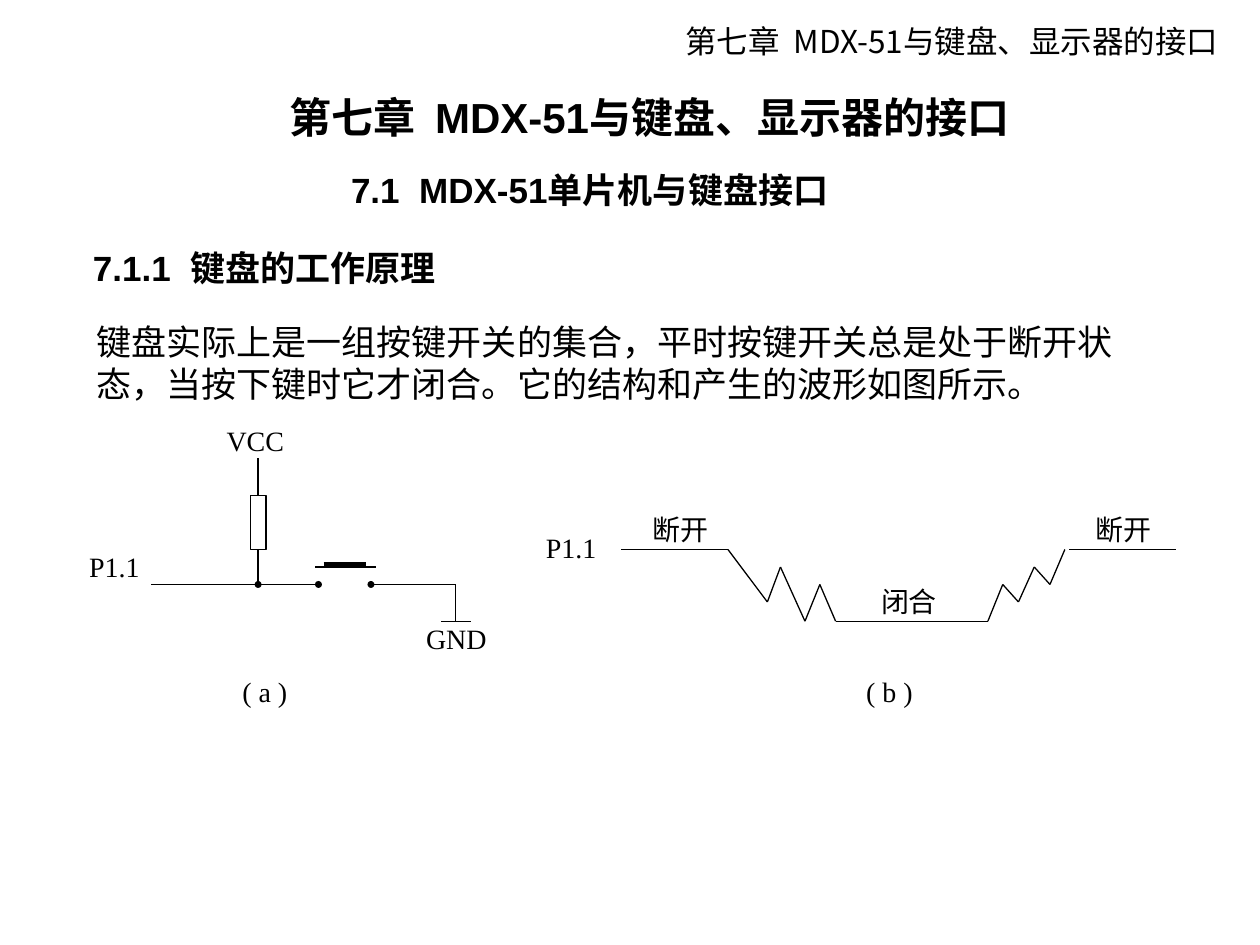
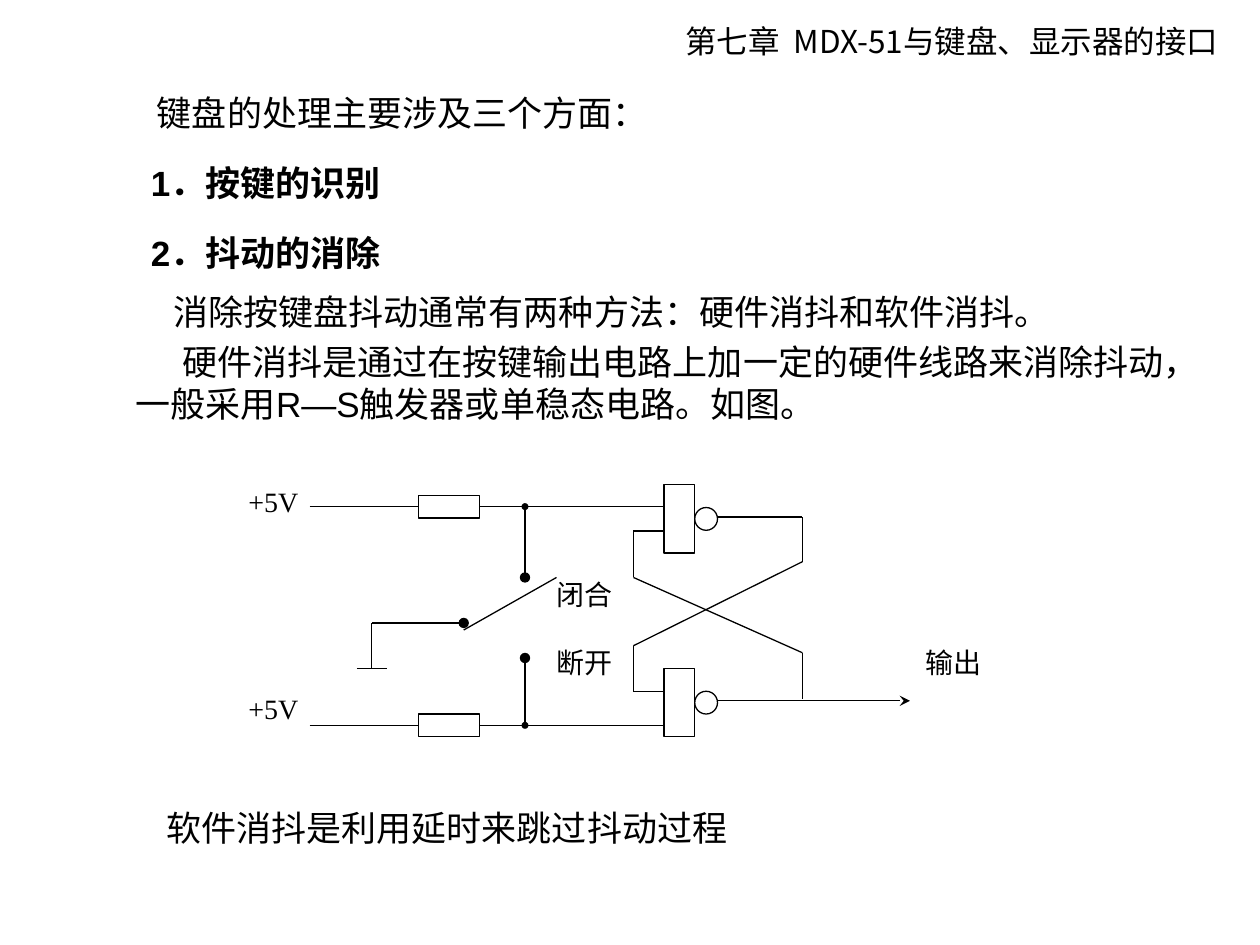
import itertools

import lxml.etree
import pptx
import pptx.dml.color
import pptx.enum.shapes
import pptx.enum.text
import pptx.oxml.ns
import pptx.util

Pt = pptx.util.Pt
qn = pptx.oxml.ns.qn
ALIGN = pptx.enum.text.PP_ALIGN
SHAPE = pptx.enum.shapes.MSO_SHAPE

BLACK = pptx.dml.color.RGBColor(0, 0, 0)
WHITE = pptx.dml.color.RGBColor(255, 255, 255)
TEXT_FONT = "Arial"
LABEL_FONT = "Times New Roman"
CHINESE_FONT = "Noto Sans CJK JP"
CHAPTER = "第七章  MDX-51与键盘、显示器的接口"

NODE = ("oval", "sm")
CONTACT = ("oval", "med")
ARROW = ("stealth", "med")


def place(shape, left, top, width, height):
    shape.left, shape.top = Pt(left), Pt(top)
    shape.width, shape.height = Pt(width), Pt(height)


def write(shape, lines, size=20, font=TEXT_FONT, bold=False, wrap=False,
          inset=(7.2, 3.6), align=ALIGN.LEFT, pitch=None, gap=0, indent=0):
    frame = shape.text_frame
    frame.auto_size = pptx.enum.text.MSO_AUTO_SIZE.NONE
    frame.word_wrap = wrap
    frame.vertical_anchor = pptx.enum.text.MSO_ANCHOR.MIDDLE
    frame.margin_left = frame.margin_right = Pt(inset[0])
    frame.margin_top = frame.margin_bottom = Pt(inset[1])
    for index, line in enumerate(lines):
        paragraph = frame.add_paragraph() if index else frame.paragraphs[0]
        properties = paragraph._p.get_or_add_pPr()
        properties.set("marL", "0")
        properties.set("indent", str(Pt(indent)))
        lxml.etree.SubElement(properties, qn("a:buNone"))
        paragraph.alignment = align
        paragraph.space_before = Pt(gap if index else 0)
        if pitch:
            paragraph.line_spacing = Pt(pitch)
        run = paragraph.add_run()
        run.text = line
        run.font.name = font
        run.font.size = Pt(size)
        run.font.bold = bold
        run.font.color.rgb = BLACK
        east_asian = lxml.etree.SubElement(run._r.get_or_add_rPr(), qn("a:ea"))
        east_asian.set("typeface", CHINESE_FONT)


def add_text(slide, text, left, top, width, height=31.7, **style):
    box = slide.shapes.add_textbox(Pt(left), Pt(top), Pt(width), Pt(height))
    write(box, [text], **style)
    return box


def add_label(slide, text, left, top):
    add_text(slide, text, left, top, 36, 19, size=16, font=LABEL_FONT,
             wrap=True, inset=(0, 0), align=ALIGN.JUSTIFY)


def add_wire(slide, begin, end, head=None, tail=None, width=0.75):
    wire = slide.shapes.add_connector(
        pptx.enum.shapes.MSO_CONNECTOR.STRAIGHT,
        *(Pt(value) for value in (*begin, *end)))
    wire.line.color.rgb = BLACK
    wire.line.width = Pt(width)
    line = wire.line._get_or_add_ln()
    for tag, marker in (("a:headEnd", head), ("a:tailEnd", tail)):
        if marker:
            kind, scale = marker
            lxml.etree.SubElement(line, qn(tag), type=kind, w=scale, len=scale)
    lxml.etree.SubElement(wire._element.spPr, qn("a:effectLst"))
    return wire


def add_path(slide, points):
    for begin, end in itertools.pairwise(points):
        add_wire(slide, begin, end)


def add_part(slide, kind, left, top, width, height):
    part = slide.shapes.add_shape(kind, Pt(left), Pt(top), Pt(width), Pt(height))
    part.shadow.inherit = False
    part.fill.solid()
    part.fill.fore_color.rgb = WHITE
    part.line.color.rgb = BLACK
    part.line.width = Pt(0.75)
    return part


def add_header(presentation, slide):
    header = add_text(slide, CHAPTER, 384.5, 9, 332, 28.8, size=18,
                      font=CHINESE_FONT)
    header.element.nvSpPr.cNvPr.set("id", "20")
    presentation.slide_master.shapes.element.append(header.element)


def draw_key_circuit(slide, left, top):
    def at(x, y):
        return left + x, top + y

    resistor = add_part(slide, SHAPE.RECTANGLE, *at(92, 41), 9, 31)
    add_wire(slide, at(96.5, 20), at(96.5, 41)).end_connect(resistor, 0)
    add_wire(slide, at(96.5, 72), at(96.5, 92), tail=NODE).begin_connect(resistor, 2)
    add_wire(slide, at(35.5, 92), at(131, 92), tail=NODE)
    add_wire(slide, at(161, 92), at(209.5, 92), head=NODE)
    add_wire(slide, at(129, 82), at(164, 82))
    add_wire(slide, at(134, 80.5), at(158, 80.5), width=2.25)
    add_wire(slide, at(209.5, 92), at(209.5, 113))
    add_wire(slide, at(201, 113), at(218, 113))
    for text, x, y in (("P1.1", 0, 72), ("VCC", 78.5, 0),
                       ("GND", 192.5, 113), ("( a )", 87.5, 143.5)):
        add_label(slide, text, *at(x, y))


def draw_bounce_waveform(slide, left, top):
    def at(x, y):
        return left + x, top + y

    wave = [(43, 21), (104, 21), (126.5, 51), (134, 31), (148, 62),
            (156.5, 41), (165.5, 62), (252.5, 62), (261, 41), (270, 51),
            (279, 31), (288, 41), (296.5, 21)]
    add_path(slide, [at(x, y) for x, y in wave])
    add_wire(slide, at(299, 21), at(360, 21))
    for text, x, y in (("断开", 61, 0), ("闭合", 191.5, 41), ("断开", 314, 0),
                       ("P1.1", 0, 10), ("( b )", 183, 92.5)):
        add_label(slide, text, *at(x, y))


def draw_latch_circuit(slide, left, top):
    def at(x, y):
        return left + x, top + y

    for rail in (12.5, 137.5):
        resistor = add_part(slide, SHAPE.RECTANGLE, *at(97, rail - 6.5), 35, 13)
        add_wire(slide, at(35, rail), at(97, rail)).end_connect(resistor, 1)
        add_wire(slide, at(132, rail), at(237.5, rail)).begin_connect(resistor, 3)
    for gate_top in (0, 105):
        add_part(slide, SHAPE.RECTANGLE, *at(237.5, gate_top), 17.5, 39)
        add_part(slide, SHAPE.FLOWCHART_CONNECTOR, *at(255, gate_top + 13), 13, 13)

    upper_feedback = [(268, 18.5), (316.5, 18.5), (316.5, 44), (220, 92),
                      (220, 118), (237.5, 118)]
    lower_feedback = [(237.5, 26.5), (220, 26.5), (220, 53), (316.5, 96),
                      (316.5, 122.5)]
    for feedback in (upper_feedback, lower_feedback):
        add_path(slide, [at(x, y) for x, y in feedback])
    add_wire(slide, at(268, 123.5), at(378, 123.5), tail=ARROW)

    add_wire(slide, at(158, 12.5), at(158, 53), head=NODE, tail=CONTACT)
    add_wire(slide, at(158, 99), at(158, 137.5), head=CONTACT, tail=NODE)
    add_wire(slide, at(123, 79), at(70.5, 79), head=CONTACT)
    add_wire(slide, at(70.5, 79), at(70.5, 105))
    add_wire(slide, at(62, 105), at(79, 105))
    add_wire(slide, at(123, 83), at(176, 53))
    for text, x, y in (("断开", 176, 92), ("闭合", 176, 53), ("+5V", 0, 0),
                       ("+5V", 0, 118), ("输出", 387, 92)):
        add_label(slide, text, *at(x, y))


def build_principle_slide(presentation):
    slide = presentation.slides.add_slide(presentation.slide_layouts[5])
    add_header(presentation, slide)
    title = slide.shapes.title
    place(title, 158.5, 48.5, 442, 36)
    write(title, [CHAPTER], size=24, bold=True)
    add_text(slide, "7.1  MDX-51单片机与键盘接口", 193.5, 92.5, 292, bold=True)
    add_text(slide, "7.1.1  键盘的工作原理", 46, 137, 215, bold=True)
    add_text(slide, "键盘实际上是一组按键开关的集合，平时按键开关总是处于断开状态，"
             "当按下键时它才闭合。它的结构和产生的波形如图所示。",
             48, 179.5, 610, 55.5, wrap=True, pitch=24)
    draw_key_circuit(slide, 51, 242)
    draw_bounce_waveform(slide, 312, 293)


def build_debounce_slide(presentation):
    slide = presentation.slides.add_slide(presentation.slide_layouts[1])
    title, aspects = slide.placeholders
    place(title, 82.5, 48.5, 299.5, 31.7)
    write(title, ["键盘的处理主要涉及三个方面："])
    place(aspects, 79, 88.5, 200, 71.5)
    write(aspects, ["1．按键的识别", "2．抖动的消除"], bold=True, wrap=True,
          pitch=24, gap=15.6)
    add_text(slide, "消除按键盘抖动通常有两种方法：硬件消抖和软件消抖。",
             92, 162, 515.5)
    add_text(slide, "硬件消抖是通过在按键输出电路上加一定的硬件线路来消除抖动，"
             "一般采用R—S触发器或单稳态电路。如图。",
             70.5, 191, 629.5, 55.5, wrap=True, pitch=24, indent=26.5)
    draw_latch_circuit(slide, 142, 277)
    add_text(slide, "软件消抖是利用延时来跳过抖动过程", 88, 457, 339)


def main():
    presentation = pptx.Presentation()
    presentation.slide_width, presentation.slide_height = Pt(720), Pt(540)
    build_principle_slide(presentation)
    build_debounce_slide(presentation)
    presentation.save("out.pptx")


if __name__ == "__main__":
    main()
